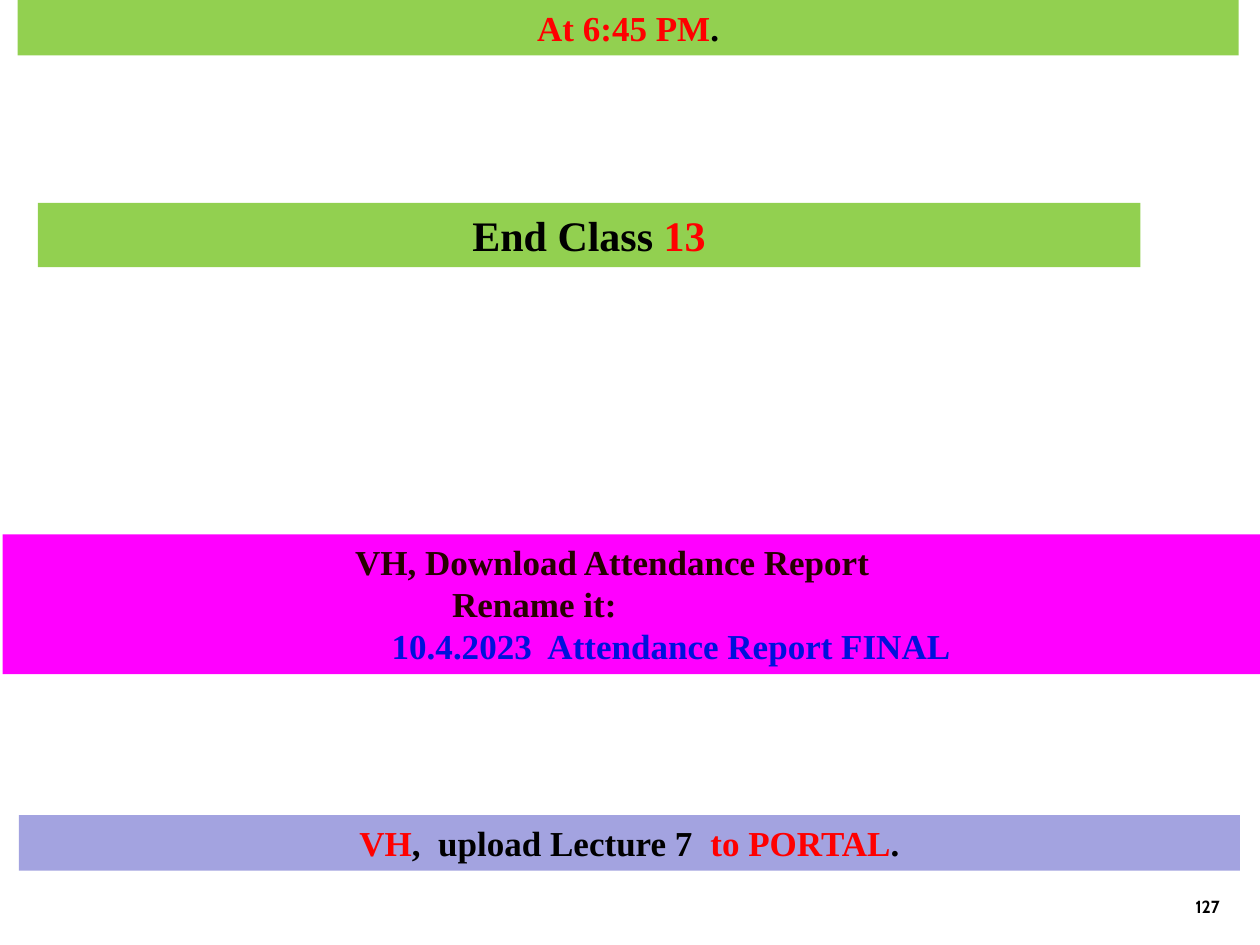
from pptx import Presentation
from pptx.dml.color import RGBColor
from pptx.enum.shapes import MSO_SHAPE
from pptx.enum.text import MSO_ANCHOR, MSO_AUTO_SIZE, PP_ALIGN
from pptx.util import Inches, Pt

RECT = MSO_SHAPE.RECTANGLE
LEFT, CENTER, RIGHT = PP_ALIGN.LEFT, PP_ALIGN.CENTER, PP_ALIGN.RIGHT
TOP, BOTTOM = MSO_ANCHOR.TOP, MSO_ANCHOR.BOTTOM
TITLE_ONLY = 5

BLACK, RED, BLUE, BROWN = "000000", "FF0000", "0010DC", "260000"
GREEN, LILAC, MAGENTA = "92D050", "A3A3E0", "FF00FF"

# Content: each paragraph is (indent in inches, [(text, colour), ...])
TITLE = [(0, [("End Class ", BLACK), ("13", RED)])]
UPLOAD = [(0, [("VH", RED), (",  upload Lecture 7  ", BLACK),
               ("to PORTAL", RED), (".", BLACK)])]
END_TIME = [(0, [("At 6:45 PM", RED), (".", BLACK)])]
ATTENDANCE = [
    (2.7, [("VH, Download Attendance Report", BROWN)]),
    (3.47, [("Rename it:", BROWN)]),
    (2.99, [("10.4.2023  Attendance Report FINAL", BLUE)]),
]
PAGE = [(0, [("127", BLACK)])]

# Bars: box (left, top, width, height), fill, paragraphs, alignment
BARS = [
    ((0.15, 6.47, 9.69, 0.44), LILAC, UPLOAD, CENTER),
    ((0.14, 0, 9.69, 0.44), GREEN, END_TIME, CENTER),
    ((0.02, 4.24, 10.02, 1.11), MAGENTA, ATTENDANCE, LEFT),
]


def rgb(value):
    return RGBColor.from_string(value)


def paint(sp, color):
    sp.fill.solid()
    sp.fill.fore_color.rgb = rgb(color)


def write(sp, paragraphs, size=20, font="Times New Roman", align=CENTER, anchor=TOP):
    tf = sp.text_frame
    tf.word_wrap = True
    tf.auto_size = MSO_AUTO_SIZE.NONE
    tf.vertical_anchor = anchor
    for i, (indent, runs) in enumerate(paragraphs):
        p = tf.add_paragraph() if i else tf.paragraphs[0]
        p.alignment = align
        if indent:
            p._p.get_or_add_pPr().set("marL", str(Inches(indent)))
        for text, color in runs:
            r = p.add_run()
            r.text = text
            r.font.name, r.font.size, r.font.bold = font, Pt(size), True
            r.font.color.rgb = rgb(color)


prs = Presentation()
prs.slide_width, prs.slide_height = Inches(10), Inches(7.5)
s = prs.slides.add_slide(prs.slide_layouts[TITLE_ONLY])

# Title bar
title = s.shapes.title
title.left, title.top, title.width, title.height = map(Inches, (0.3, 1.61, 8.75, 0.51))
paint(title, GREEN)
write(title, TITLE, size=24)

# Message bars
for box, fill, paragraphs, align in BARS:
    sp = s.shapes.add_shape(RECT, *map(Inches, box))
    sp.shadow.inherit = False
    sp.line.fill.background()
    paint(sp, fill)
    write(sp, paragraphs, align=align)

# Page number
number = s.shapes.add_textbox(*map(Inches, (7.7, 6.83, 2.08, 0.5)))
write(number, PAGE, size=10, font="Cabin", align=RIGHT, anchor=BOTTOM)

prs.save("out.pptx")
